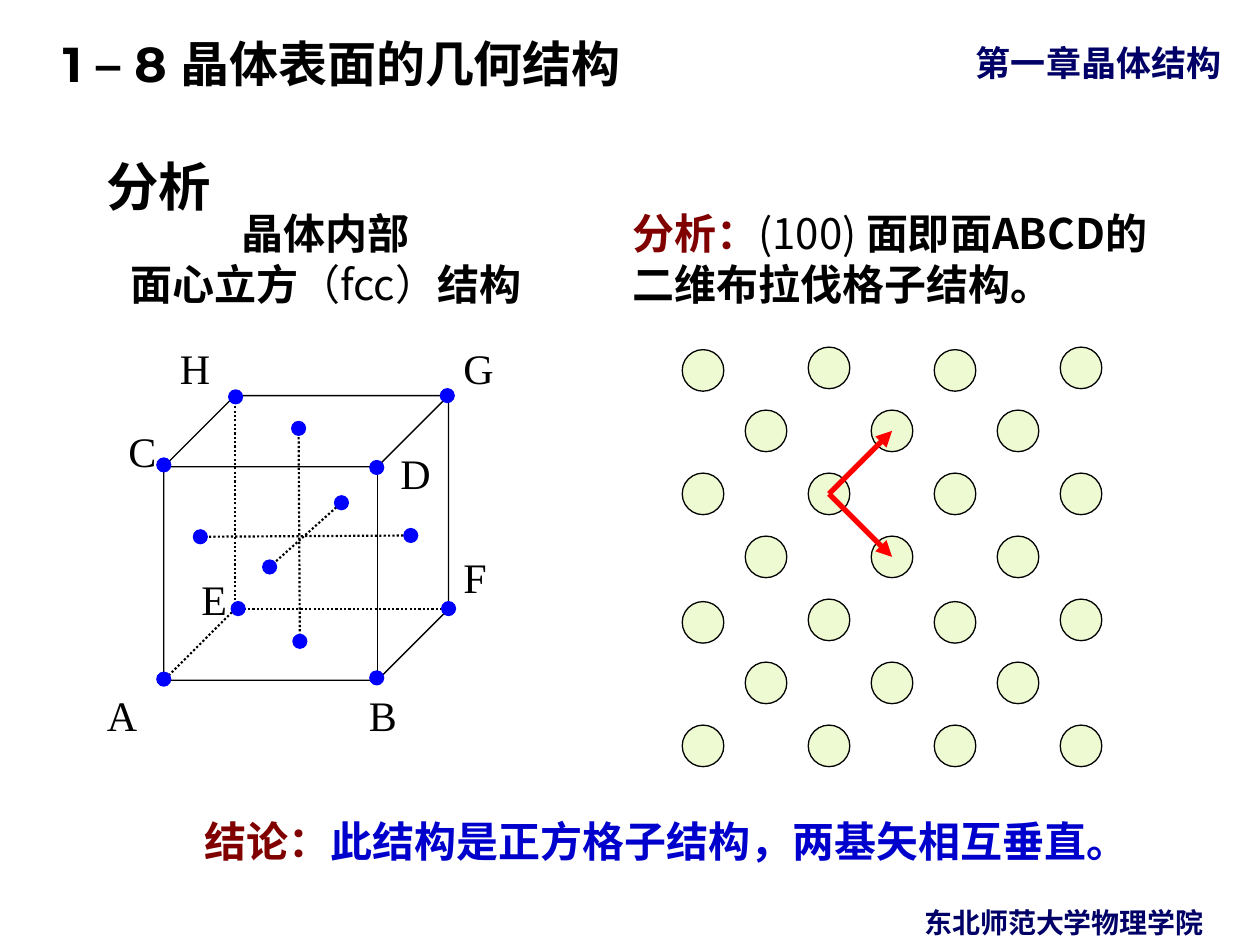
from pptx import Presentation
from pptx.dml.color import RGBColor
from pptx.enum import dml, shapes, text
from pptx.oxml import ns, xmlchemy
from pptx.util import Inches, Pt

SANS, SERIF, HEADING = "Noto Sans CJK SC", "Times New Roman", "Montserrat"
BLACK, NAVY, MAROON, BLUE = "000000", "000066", "800000", "0000CC"
LEFT, CENTER = text.PP_ALIGN.LEFT, text.PP_ALIGN.CENTER


def color(value):
    return RGBColor.from_string(value)


def sub_element(parent, tag, **attributes):
    child = xmlchemy.OxmlElement(tag)
    for name, value in attributes.items():
        child.set(name, value)
    parent.append(child)


def add_span(para, words, size, hue=BLACK, bold=True, font=SANS):
    span = para.add_run()
    span.text = words
    span.font.size, span.font.bold, span.font.name = Pt(size), bold, font
    span.font.color.rgb = color(hue)
    sub_element(span._r.get_or_add_rPr(), "a:ea", typeface=SANS)


def add_text(parent, box, paragraphs, size, align=LEFT, font=SANS):
    """Each paragraph is a list of (words, colour, bold) spans."""
    frame = parent.add_textbox(*map(Inches, box)).text_frame
    frame.word_wrap = True
    for index, spans in enumerate(paragraphs):
        para = frame.add_paragraph() if index else frame.paragraphs[0]
        para.alignment = align
        for words, hue, bold in spans:
            add_span(para, words, size, hue, bold, font)
    return frame


def add_line(parent, start, end, hue, width, dotted=False, arrow=False):
    line = parent.add_connector(shapes.MSO_CONNECTOR.STRAIGHT,
                                *map(Inches, (*start, *end)))
    line.line.color.rgb, line.line.width = color(hue), Pt(width)
    if dotted:
        line.line.dash_style = dml.MSO_LINE.ROUND_DOT
    if arrow:
        sub_element(line.line._get_or_add_ln(), "a:tailEnd", type="triangle")
    sub_element(line._element.find(ns.qn("p:spPr")), "a:effectLst")


def add_circle(parent, center, size, fill, outline):
    x, y = center
    circle = parent.add_shape(shapes.MSO_SHAPE.OVAL, *map(
        Inches, (x - size / 2, y - size / 2, size, size)))
    circle.shadow.inherit = False
    circle.fill.solid()
    circle.fill.fore_color.rgb = color(fill)
    circle.line.color.rgb, circle.line.width = color(outline), Pt(0.75)


def add_header_footer(page):
    add_text(page.shapes, (7.44, 0.28, 2.56, 0.43),
             [[("第一章晶体结构", NAVY, True)]], 20, CENTER)
    heading = add_text(page.shapes, (0, 0.12, 8.17, 0.64),
                       [[("1 – 8 晶体表面的几何结构", BLACK, True)]], 28, font=HEADING)
    heading.margin_left = Inches(0.5)
    heading.vertical_anchor = text.MSO_ANCHOR.MIDDLE
    heading.paragraphs[0].line_spacing = 1.25
    add_text(page.shapes, (6.89, 7.14, 3.11, 0.37),
             [[("东北师范大学物理学院", NAVY, True)]], 16, CENTER)


def add_title(page, box):
    title = page.shapes.title
    title.left, title.top, title.width, title.height = map(Inches, box)
    title.text_frame.vertical_anchor = text.MSO_ANCHOR.BOTTOM
    para = title.text_frame.paragraphs[0]
    para.alignment, para.line_spacing = CENTER, 0.9
    add_span(para, "分析", 30)


def add_unit_cell(page, left, top, size):
    """Face-centred cube; all offsets count from its top left corner."""
    group = page.shapes.add_group_shape().shapes
    depth = size / 4
    front = size - depth

    def at(x, y):
        return left + x, top + y

    cube = group.add_shape(shapes.MSO_SHAPE.CUBE,
                           *map(Inches, (left, top, size, size)))
    cube.adjustments[0] = 0.25
    cube.shadow.inherit = False
    cube.fill.background()
    cube.line.color.rgb, cube.line.width = color(BLACK), Pt(0.75)

    # Hidden edges meet at the back corner E
    for corner in ((depth, 0), (size, front), (0, size)):
        add_line(group, at(depth, front), at(*corner), BLACK, 1.25, dotted=True)

    # Pairs of opposite face centres and the axes between them
    faces = [((1.07, 0.26), (1.08, 1.95)),
             ((0.29, 1.12), (1.96, 1.11)),
             ((0.84, 1.36), (1.41, 0.85))]
    for start, end in faces:
        add_line(group, at(*start), at(*end), BLACK, 1.25, dotted=True)

    # Corner atoms, each with the offset of its label box
    corners = {"A": ((0, 2.25), (-0.55, 2.28)), "B": ((1.69, 2.24), (1.53, 2.28)),
               "C": ((0, 0.55), (-0.38, 0.19)), "D": ((1.69, 0.57), (1.78, 0.36)),
               "E": ((0.59, 1.69), (0.2, 1.36)), "F": ((2.26, 1.69), (2.28, 1.19)),
               "G": ((2.25, 0), (2.28, -0.47)), "H": ((0.57, 0.01), (0.03, -0.47))}
    atoms = [atom for atom, _ in corners.values()]
    for atom in atoms + [center for pair in faces for center in pair]:
        add_circle(group, at(*atom), 0.11, "0000FF", "0000FF")
    for name, (_, offset) in corners.items():
        add_text(group, (*at(*offset), 0.5, 0.5),
                 [[(name, BLACK, False)]], 24, font=SERIF)


def add_lattice(page, left, top, step):
    """Centred square lattice; left and top give the first atom's centre."""
    group = page.shapes.add_group_shape().shapes
    half = step / 2
    for row in range(7):
        odd = row % 2
        for column in range(4 - odd):
            # Alternate atoms of every fourth row sit slightly lower
            drop = 0.02 if row in (0, 4) and column % 2 == 0 else 0
            center = (left + column * step + odd * half, top + row * half + drop)
            add_circle(group, center, 0.33, "EDFAD2", BLACK)

    # Basis vectors
    origin_x, origin_y = left + step, top + step
    for rise in (-half, half):
        add_line(group, (origin_x, origin_y), (origin_x + half, origin_y + rise),
                 "FF0000", 3, arrow=True)


def main():
    deck = Presentation()
    deck.slide_width, deck.slide_height = Inches(10), Inches(7.5)
    page = deck.slides.add_slide(deck.slide_layouts[5])
    add_header_footer(page)
    add_title(page, (0.2, 1.11, 2.12, 0.67))

    # Left: crystal interior
    add_text(page.shapes, (0.75, 1.6, 3.67, 0.91),
             [[("晶体内部", BLACK, True)],
              [("面心立方", BLACK, True), ("（fcc）", BLACK, False),
               ("结构", BLACK, True)]], 24, CENTER)
    add_unit_cell(page, 1.3, 3.14, 2.26)

    # Right: surface lattice
    add_text(page.shapes, (4.92, 1.6, 4.5, 0.91),
             [[("分析：", MAROON, True), ("(100) ", BLACK, False),
               ("面即面ABCD的二维布拉伐格子结构。", BLACK, True)]], 24)
    add_lattice(page, 5.58, 2.92, 1)

    # Conclusion
    add_text(page.shapes, (1.25, 6.42, 8.08, 0.5),
             [[("结论：", MAROON, True),
               ("此结构是正方格子结构，两基矢相互垂直。", BLUE, True)]], 24, CENTER)
    deck.save("out.pptx")


if __name__ == "__main__":
    main()
